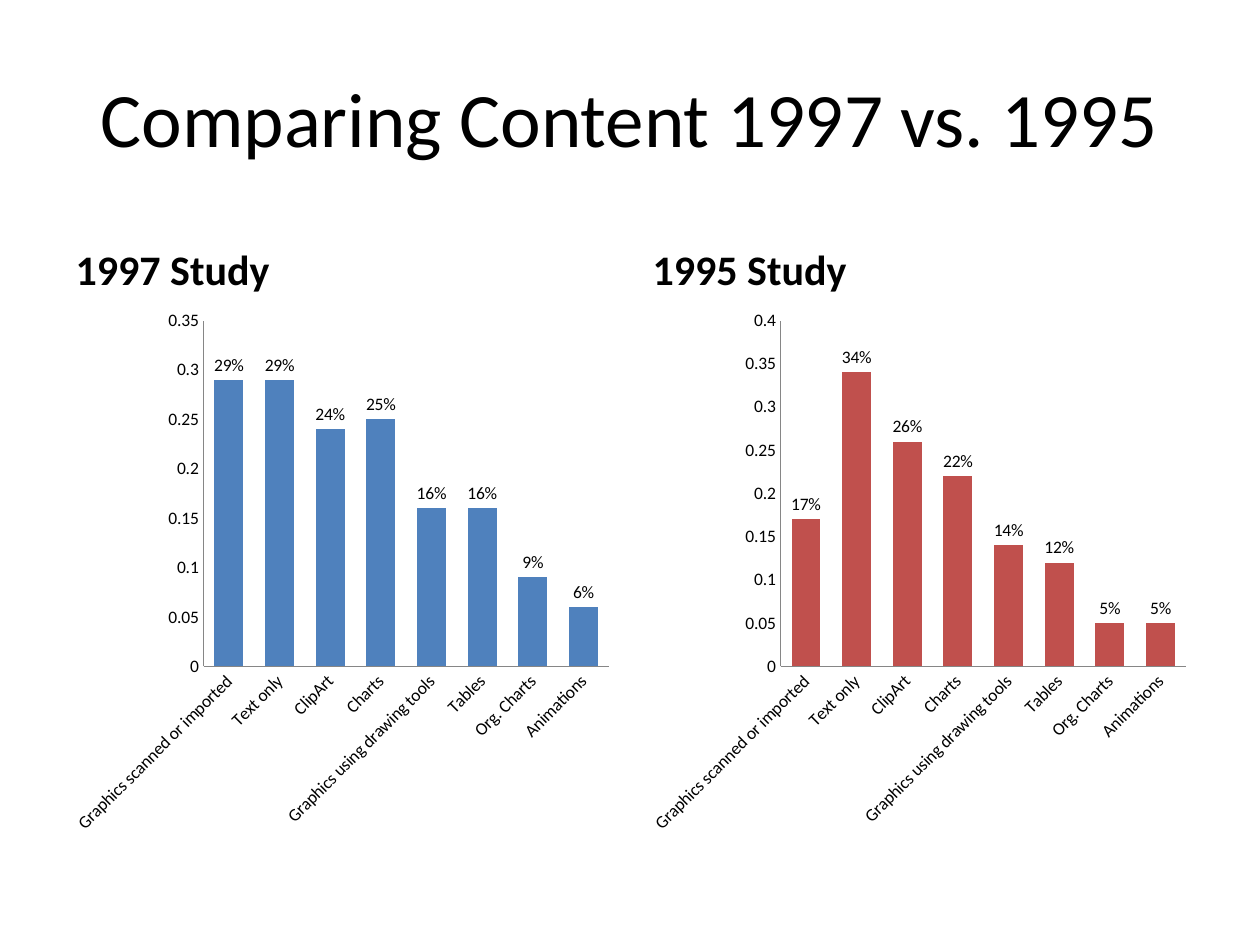
from pptx import Presentation
from pptx.chart.data import CategoryChartData
from pptx.dml.color import RGBColor
from pptx.enum import chart as ch, text
from pptx.util import Inches, Pt

TITLE = "Comparing Content 1997 vs. 1995"
CONTENT_TYPES = [
    "Graphics scanned or imported", "Text only", "ClipArt", "Charts",
    "Graphics using drawing tools", "Tables", "Org. Charts", "Animations",
]
# heading, shares by content type, bar colour, axis maximum
STUDIES = [
    ("1997 Study", [0.29, 0.29, 0.24, 0.25, 0.16, 0.16, 0.09, 0.06], "blue", 0.35),
    ("1995 Study", [0.17, 0.34, 0.26, 0.22, 0.14, 0.12, 0.05, 0.05], "red", 0.4),
]
COLORS = {"text": "000000", "axis": "868686", "blue": "4F81BD", "red": "C0504D"}
FONT = "Calibri"
MARGIN, COLUMN_WIDTH, COLUMN_STEP = 0.5, 4.42, 4.58
HEADING_TOP, HEADING_HEIGHT, CHART_HEIGHT = 1.68, 0.7, 4.32


def color(name):
    return RGBColor.from_string(COLORS[name])


def style_font(font, size, bold=False):
    font.name, font.size, font.bold = FONT, Pt(size), bold
    font.color.rgb = color("text")


def fill_placeholder(holder, words, box, size, align, anchor, bold=False):
    holder.left, holder.top, holder.width, holder.height = map(Inches, box)
    frame = holder.text_frame
    frame.text = words
    frame.vertical_anchor = anchor
    paragraph = frame.paragraphs[0]
    paragraph.alignment = align
    paragraph.space_before = Pt(0)
    style_font(paragraph.font, size, bold)


def add_study_chart(slide, left, shares, bar_color, maximum):
    data = CategoryChartData(number_format="General")
    data.categories = CONTENT_TYPES
    data.add_series("Series 1", shares)
    chart = slide.shapes.add_chart(
        ch.XL_CHART_TYPE.COLUMN_CLUSTERED, Inches(left),
        Inches(HEADING_TOP + HEADING_HEIGHT), Inches(COLUMN_WIDTH),
        Inches(CHART_HEIGHT), data).chart
    chart.has_legend = chart.has_title = False
    style_font(chart.font, 10)

    for axis in (chart.category_axis, chart.value_axis):
        axis.has_major_gridlines = False
        axis.major_tick_mark = axis.minor_tick_mark = ch.XL_TICK_MARK.NONE
        axis.format.line.color.rgb = color("axis")
        axis.format.line.width = Pt(0.75)
    chart.value_axis.minimum_scale = 0
    chart.value_axis.maximum_scale = maximum
    chart.value_axis.major_unit = 0.05

    plot = chart.plots[0]
    plot.gap_width = 75
    plot.vary_by_categories = False
    bars = plot.series[0].format.fill
    bars.solid()
    bars.fore_color.rgb = color(bar_color)
    plot.has_data_labels = True
    labels = plot.data_labels
    labels.show_value = True
    labels.number_format = "0%"
    labels.number_format_is_linked = False
    labels.position = ch.XL_LABEL_POSITION.OUTSIDE_END
    style_font(labels.font, 10)


def main():
    deck = Presentation()
    deck.slide_width, deck.slide_height = Inches(10), Inches(7.5)
    comparison = deck.slide_layouts.get_by_name("Comparison")
    slide = deck.slides.add_slide(comparison)
    title, left_heading, left_body, right_heading, right_body = list(slide.placeholders)[:5]

    fill_placeholder(title, TITLE, (MARGIN, 0.3, 9, 1.25), 44,
                     text.PP_ALIGN.CENTER, text.MSO_ANCHOR.MIDDLE)
    for column, (heading, study) in enumerate(zip((left_heading, right_heading), STUDIES)):
        name, shares, bar_color, maximum = study
        left = MARGIN + column * COLUMN_STEP
        fill_placeholder(heading, name, (left, HEADING_TOP, COLUMN_WIDTH, HEADING_HEIGHT),
                         24, text.PP_ALIGN.LEFT, text.MSO_ANCHOR.BOTTOM, bold=True)
        add_study_chart(slide, left, shares, bar_color, maximum)

    for unused in (left_body, right_body):
        unused.element.getparent().remove(unused.element)
    deck.save("out.pptx")


if __name__ == "__main__":
    main()
